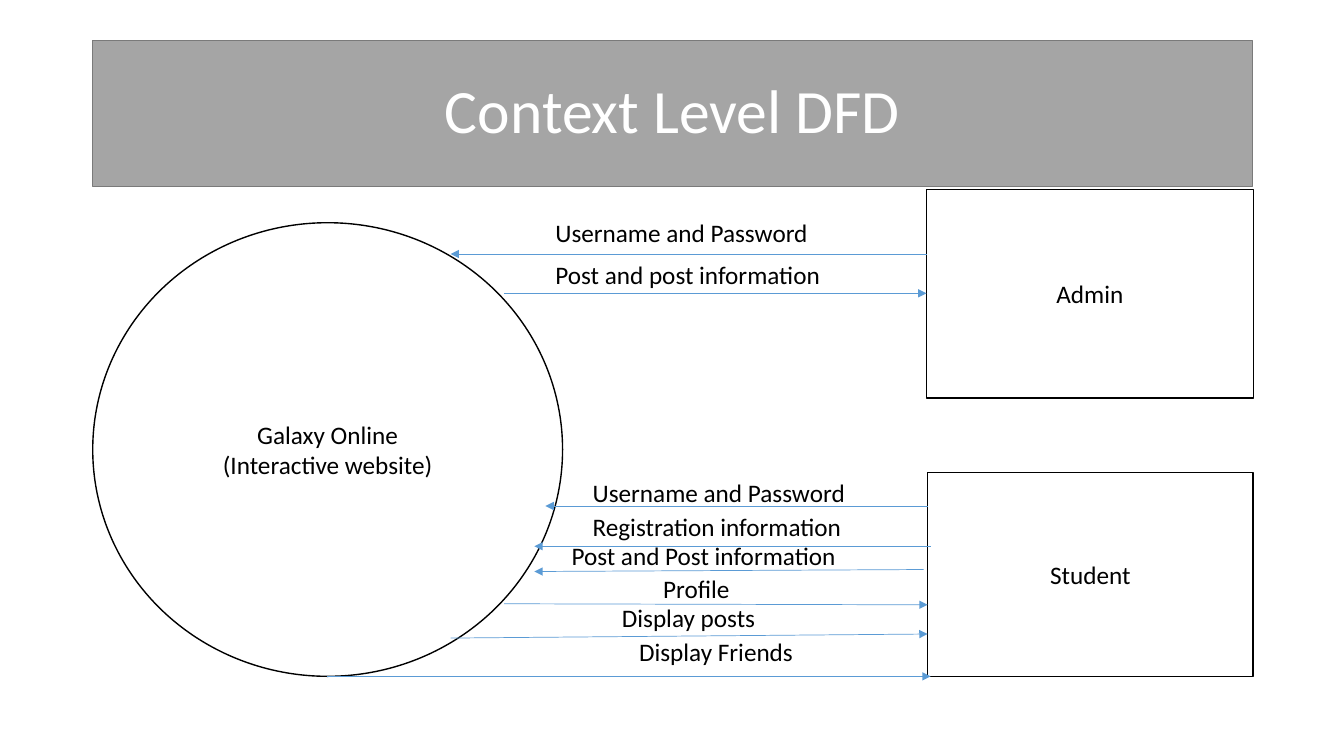
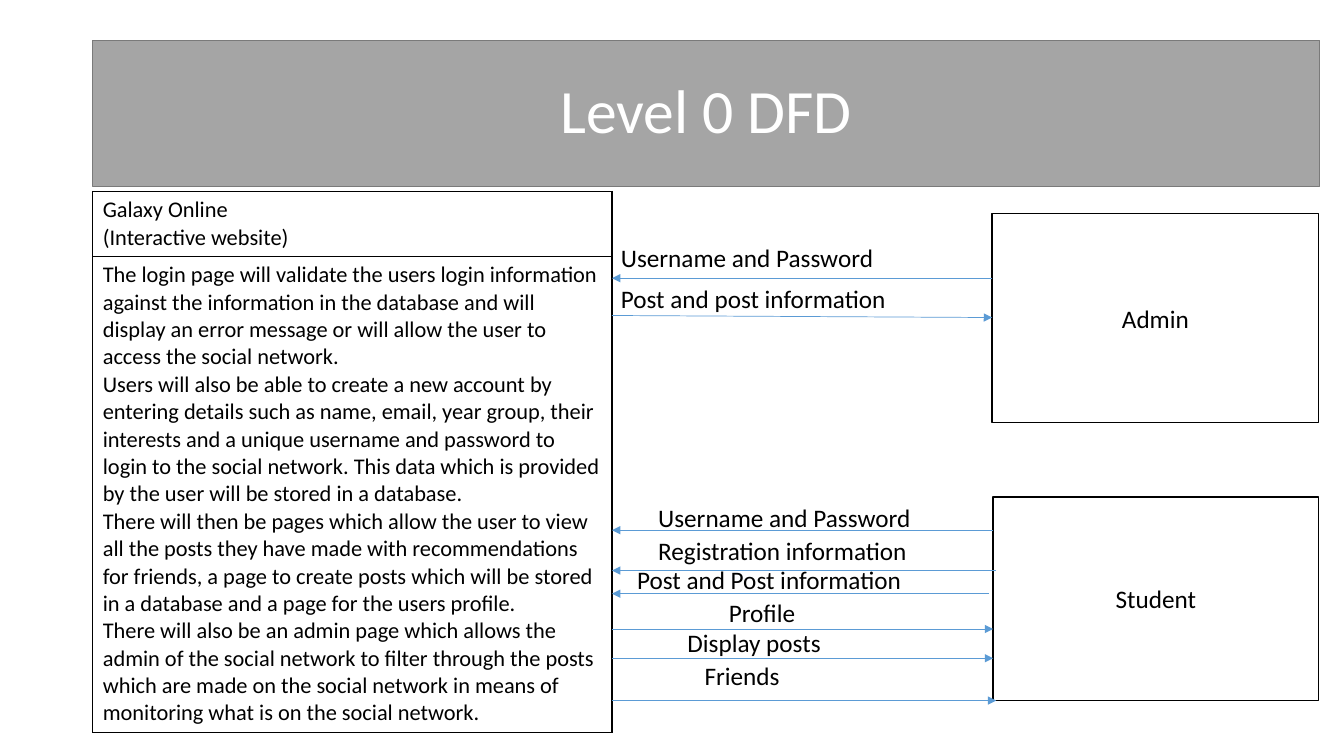
from lxml.etree import SubElement
from pptx import Presentation
from pptx.dml.color import RGBColor
from pptx.enum.shapes import MSO_CONNECTOR, MSO_SHAPE
from pptx.enum.text import MSO_ANCHOR, MSO_AUTO_SIZE, PP_ALIGN
from pptx.oxml.ns import qn
from pptx.util import Inches, Pt

FONT = "Calibri"
BLACK = RGBColor(0x00, 0x00, 0x00)
WHITE = RGBColor(0xFF, 0xFF, 0xFF)
BAND_GREY = RGBColor(0xA5, 0xA5, 0xA5)
BAND_EDGE = RGBColor(0x7A, 0x7A, 0x7A)
ARROW_BLUE = RGBColor(0x5B, 0x9B, 0xD5)

LEFT = 0.92
TABLE_WIDTH = 5.15
TABLE_RIGHT = LEFT + TABLE_WIDTH

# Actors: name, left, top, width, height
ACTORS = [
    ("Admin", 9.19, 1.88, 3.24, 2.07),
    ("Student", 9.2, 4.69, 3.23, 2.02),
]

# Flows: label left, top, width; actor end x, y; whether it runs to the website
FLOWS = [
    (5.41, 2.11, 3.71, 9.19, 2.52, True),
    (5.41, 2.52, 3.47, 9.19, 2.91, False),
    (5.78, 4.69, 3.1, 9.2, 5.02, True),
    (5.78, 5.02, 2.93, 9.23, 5.42, True),
    (5.57, 5.31, 2.98, 9.16, 5.65, True),
    (6.48, 5.64, 0.94, 9.2, 6, False),
    (6.07, 5.93, 1.6, 9.2, 6.29, False),
    (6.24, 6.26, 1.75, 9.23, 6.71, False),
]
LABELS = [
    "Username and Password", "Post and post information",
    "Username and Password", "Registration information",
    "Post and Post information", "Profile", "Display posts",
]

# Diagrams: title, band width, shift of the right side, last label, website ends
DIAGRAMS = [
    ("Context Level DFD", 11.5, (0, 0), "Display Friends",
     [(4.47, 2.52), (5, 2.91), (5.41, 5.02), (5.3, 5.42),
      (5.3, 5.67), (5, 5.99), (4.47, 6.33), (3.24, 6.71)]),
    ("Level 0 DFD", 12.17, (0.65, 0.24), "Friends",
     [(TABLE_RIGHT, y) for y in (2.76, 3.13, 5.26, 5.66, 5.89, 6.24, 6.53, 6.95)]),
]

WEBSITE = ["Galaxy Online", "(Interactive website)"]
DESCRIPTION = [
    "The login page will validate the users login information against the "
    "information in the database and will display an error message or will "
    "allow the user to access the social network.",
    "Users will also be able to create a new account by entering details such "
    "as name, email, year group, their interests and a unique username and "
    "password to login to the social network. This data which is provided by "
    "the user will be stored in a database.",
    "There will then be pages which allow the user to view all the posts they "
    "have made with recommendations for friends, a page to create posts which "
    "will be stored in a database and a page for the users profile.",
    "There will also be an admin page which allows the admin of the social "
    "network to filter through the posts which are made on the social network "
    "in means of monitoring what is on the social network.",
]


def write(text_frame, lines, size=18, color=BLACK, align=PP_ALIGN.LEFT):
    text_frame.text = "\n".join(lines)
    text_frame.word_wrap = True
    for paragraph in text_frame.paragraphs:
        paragraph.alignment = align
        paragraph.font.name = FONT
        paragraph.font.size = Pt(size)
        paragraph.font.color.rgb = color


def add_node(slide, kind, lines, left, top, width, height):
    shape = slide.shapes.add_shape(
        kind, Inches(left), Inches(top), Inches(width), Inches(height))
    shape.shadow.inherit = False
    shape.fill.solid()
    shape.fill.fore_color.rgb = WHITE
    shape.line.color.rgb = BLACK
    shape.line.width = Pt(1)
    shape.text_frame.vertical_anchor = MSO_ANCHOR.MIDDLE
    write(shape.text_frame, lines, align=PP_ALIGN.CENTER)


presentation = Presentation()
presentation.slide_width = Inches(13.33)
presentation.slide_height = Inches(7.5)

for title_text, band_width, (shift_x, shift_y), last_label, website_ends in DIAGRAMS:
    slide = presentation.slides.add_slide(presentation.slide_layouts[5])

    # Title band
    title = slide.shapes.title
    title.left, title.top = Inches(LEFT), Inches(0.4)
    title.width, title.height = Inches(band_width), Inches(1.45)
    title.fill.solid()
    title.fill.fore_color.rgb = BAND_GREY
    title.line.color.rgb = BAND_EDGE
    title.line.width = Pt(1)
    title.text_frame.auto_size = MSO_AUTO_SIZE.NONE
    title.text_frame.vertical_anchor = MSO_ANCHOR.MIDDLE
    write(title.text_frame, [title_text], 44, WHITE, PP_ALIGN.CENTER)
    title.text_frame.paragraphs[0].line_spacing = 0.9

    # Website: a circle in the context diagram, a table at level 0
    if title_text == "Context Level DFD":
        add_node(slide, MSO_SHAPE.OVAL, WEBSITE, LEFT, 2.21, 4.66, 4.5)
    else:
        table = slide.shapes.add_table(
            2, 1, Inches(LEFT), Inches(1.9),
            Inches(TABLE_WIDTH), Inches(5.36)).table
        table.first_row = False
        table.horz_banding = False
        for row, height, lines in zip(table.rows, (0.64, 4.72), (WEBSITE, DESCRIPTION)):
            row.height = Inches(height)
            cell = row.cells[0]
            write(cell.text_frame, lines, 16)
            properties = cell._tc.get_or_add_tcPr()
            for side in ("a:lnL", "a:lnR", "a:lnT", "a:lnB"):
                border = SubElement(properties, qn(side), w=str(Pt(1)))
                border_fill = SubElement(border, qn("a:solidFill"))
                SubElement(border_fill, qn("a:srgbClr"), val=str(BLACK))
            cell.fill.background()

    # Actors
    for name, left, top, width, height in ACTORS:
        add_node(slide, MSO_SHAPE.RECTANGLE, [name],
                 left + shift_x, top + shift_y, width, height)

    # Data flows
    for label, flow, website_end in zip(LABELS + [last_label], FLOWS, website_ends):
        left, top, width, actor_x, actor_y, to_website = flow
        ends = [(actor_x + shift_x, actor_y + shift_y), website_end]
        if not to_website:
            ends.reverse()
        (start_x, start_y), (end_x, end_y) = ends
        arrow = slide.shapes.add_connector(
            MSO_CONNECTOR.STRAIGHT, Inches(start_x), Inches(start_y),
            Inches(end_x), Inches(end_y))
        arrow.line.color.rgb = ARROW_BLUE
        arrow.line.width = Pt(0.5)
        SubElement(arrow.line._get_or_add_ln(), qn("a:tailEnd"), type="triangle")
        SubElement(arrow._element.spPr, qn("a:effectLst"))

        text_box = slide.shapes.add_textbox(
            Inches(left + shift_x), Inches(top + shift_y), Inches(width), Inches(0.4))
        write(text_box.text_frame, [label])

presentation.save("out.pptx")
